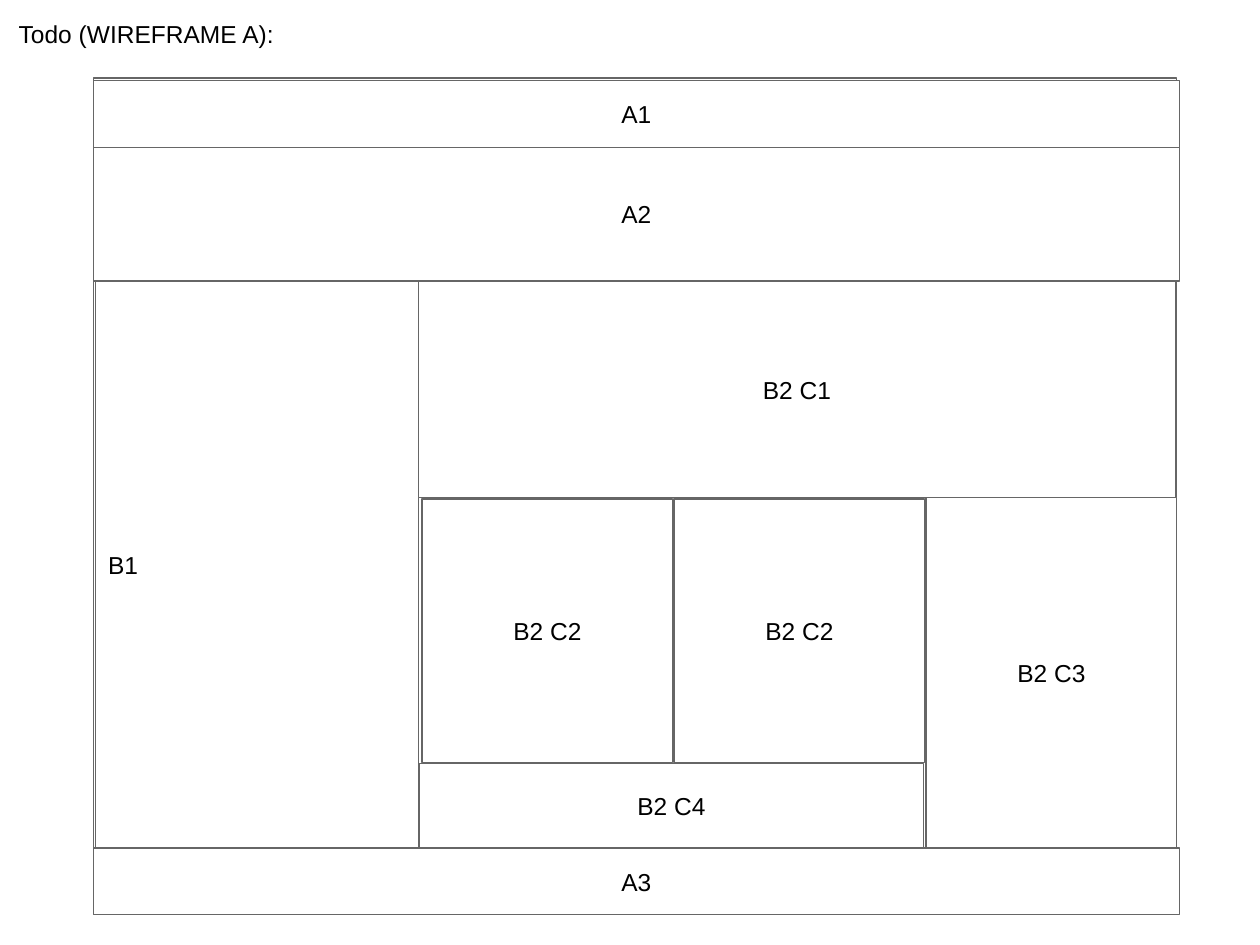
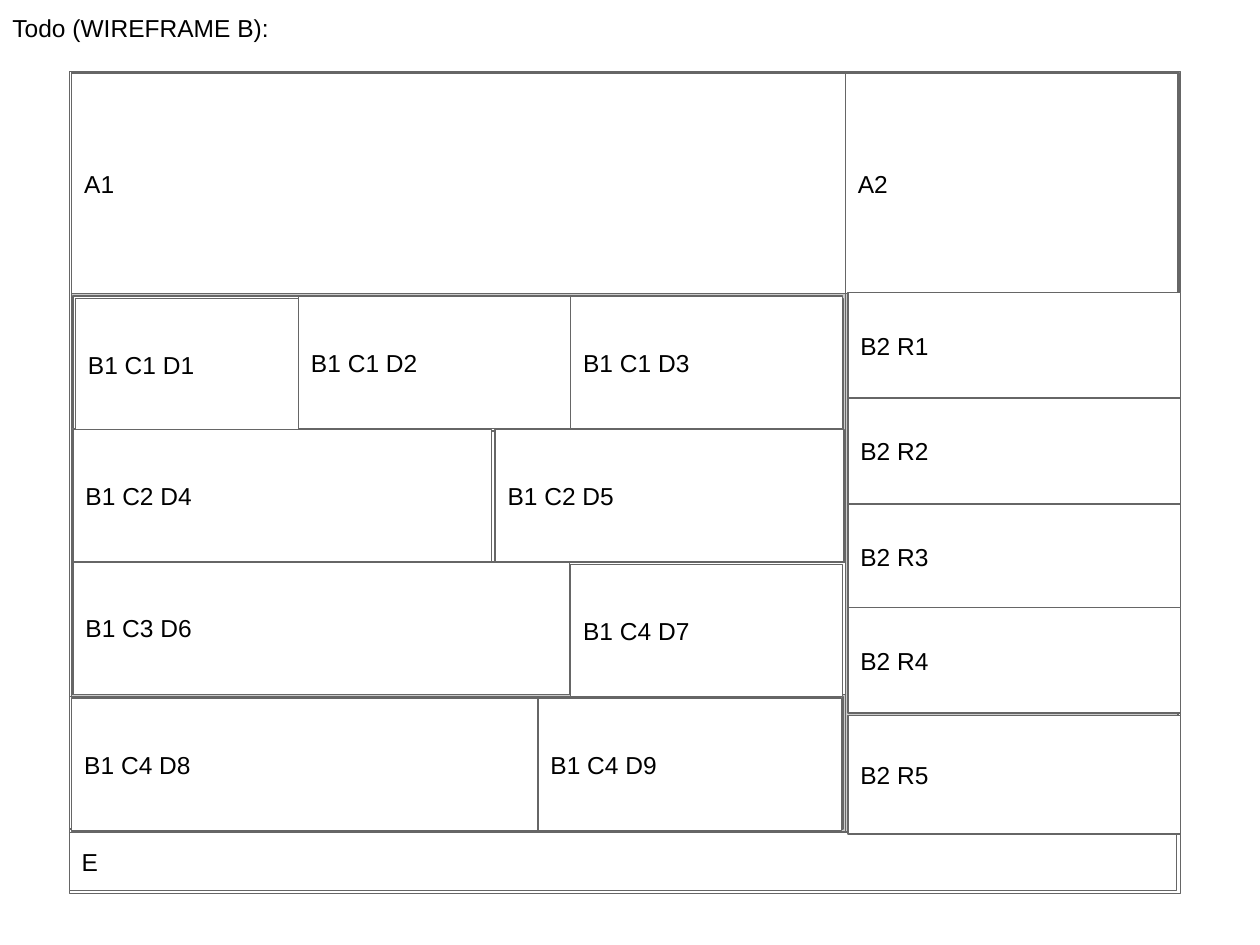
from pptx import Presentation
from pptx.dml.color import RGBColor
from pptx.enum.shapes import MSO_SHAPE
from pptx.enum.text import MSO_ANCHOR, PP_ALIGN
from pptx.util import Inches, Pt

RECTANGLE = MSO_SHAPE.RECTANGLE
TOP, MIDDLE = MSO_ANCHOR.TOP, MSO_ANCHOR.MIDDLE
LEFT, CENTER = PP_ALIGN.LEFT, PP_ALIGN.CENTER

FONT, TEXT_SIZE = "Arial", 14
INK, WHITE, GRAY, OUTLINE = "000000", "FFFFFF", "CCCCCC", "666666"
INSET = 0.1


def color(hex_string):
    return RGBColor.from_string(hex_string)


def write(shape, text, align=LEFT, anchor=MIDDLE):
    frame = shape.text_frame
    frame.word_wrap = True
    frame.vertical_anchor = anchor
    frame.margin_left = frame.margin_right = Inches(INSET)
    frame.margin_top = frame.margin_bottom = Inches(INSET)
    para = frame.paragraphs[0]
    para.alignment = align
    span = para.add_run()
    span.text = text
    span.font.name = FONT
    span.font.size = Pt(TEXT_SIZE)
    span.font.color.rgb = color(INK)


def add_title(page, text, left, top):
    box = page.shapes.add_textbox(Inches(left), Inches(top), Inches(2.57), Inches(0.91))
    write(box, text, anchor=TOP)


def add_region(page, left, top, width, height, text="", align=LEFT, fill=WHITE):
    """Draw one outlined area of a wireframe, with its label if it has one."""
    region = page.shapes.add_shape(
        RECTANGLE, Inches(left), Inches(top), Inches(width), Inches(height))
    region.shadow.inherit = False
    region.fill.solid()
    region.fill.fore_color.rgb = color(fill)
    region.line.color.rgb = color(OUTLINE)
    region.line.width = Pt(0.75)
    if text:
        write(region, text, align)


def add_page(deck):
    return deck.slides.add_slide(deck.slide_layouts[6])


def build_wireframe_a(deck):
    page = add_page(deck)
    add_title(page, "Todo (WIREFRAME A):", 0.05, 0.05)
    add_region(page, 0.74, 0.62, 8.6, 6.64)

    for text, top, height in (("A1", 0.64, 0.53), ("A3", 6.73, 0.53), ("A2", 1.17, 1.06)):
        add_region(page, 0.74, top, 8.62, height, text, CENTER)

    body_top, body_height = 2.23, 4.5
    main_left, main_width = 3.32, 6.01
    add_region(page, 0.76, body_top, 2.57, body_height, "B1")
    add_region(page, main_left, body_top, main_width, body_height)
    add_region(page, main_left, body_top, main_width, 1.72, "B2 C1", CENTER)
    add_region(page, 7.35, 3.95, 1.99, 2.78, "B2 C3", CENTER)
    add_region(page, 3.33, 6.06, 4, 0.67, "B2 C4", CENTER)
    for column in range(2):
        add_region(page, 3.35 + 2 * column, 3.96, 1.99, 2.09, "B2 C2", CENTER)


def build_wireframe_b(deck):
    page = add_page(deck)
    add_title(page, "Todo (WIREFRAME B):", 0, 0)
    add_region(page, 0.55, 0.57, 8.82, 6.52)

    main_left, main_width = 0.57, 6.14
    side_left, side_width = main_left + main_width, 2.64
    header_top, header_height = 0.58, 1.75
    body_top, body_height = header_top + header_height, 4.27
    add_region(page, main_left, header_top, 8.79, header_height)
    add_region(page, main_left, header_top, main_width, header_height, "A1")
    add_region(page, side_left, header_top, side_width, header_height, "A2")
    add_region(page, main_left, body_top, main_width, body_height, fill=GRAY)
    add_region(page, 0.55, 6.61, 8.79, 0.46, "E")
    add_region(page, side_left, body_top, side_width, body_height, fill=GRAY)

    side_rows = ((2.32, 0.84), (3.16, 0.84), (4, 0.84), (4.82, 0.84), (5.68, 0.94))
    for number, (top, height) in enumerate(side_rows, 1):
        add_region(page, 6.73, top, side_width, height, f"B2 R{number}")

    row_height = 1.05
    bands = ((0.58, 2.35, 6.1), (0.57, 3.42, main_width),
             (0.57, 4.46, main_width), (0.55, 5.53, main_width))
    for left, top, width in bands:
        add_region(page, left, top, width, row_height)

    cells = (  # left, top, width, label; later cells lie on top
        (0.6, 2.37, 1.77, "B1 C1 D1"),
        (2.37, 2.37, 4.32, ""),
        (3.93, 3.41, 2.77, "B1 C2 D5"),
        (0.58, 3.41, 3.32, "B1 C2 D4"),
        (2.37, 2.35, 2.16, "B1 C1 D2"),
        (4.53, 2.35, 2.16, "B1 C1 D3"),
        (0.58, 4.46, 3.94, "B1 C3 D6"),
        (4.53, 4.48, 2.16, "B1 C4 D7"),
        (0.57, 5.54, 3.71, "B1 C4 D8"),
        (4.27, 5.54, 2.41, "B1 C4 D9"),
    )
    for left, top, width, text in cells:
        add_region(page, left, top, width, row_height, text)


def main():
    deck = Presentation()
    deck.slide_width, deck.slide_height = Inches(10), Inches(7.5)
    build_wireframe_a(deck)
    build_wireframe_b(deck)
    deck.save("out.pptx")


if __name__ == "__main__":
    main()
